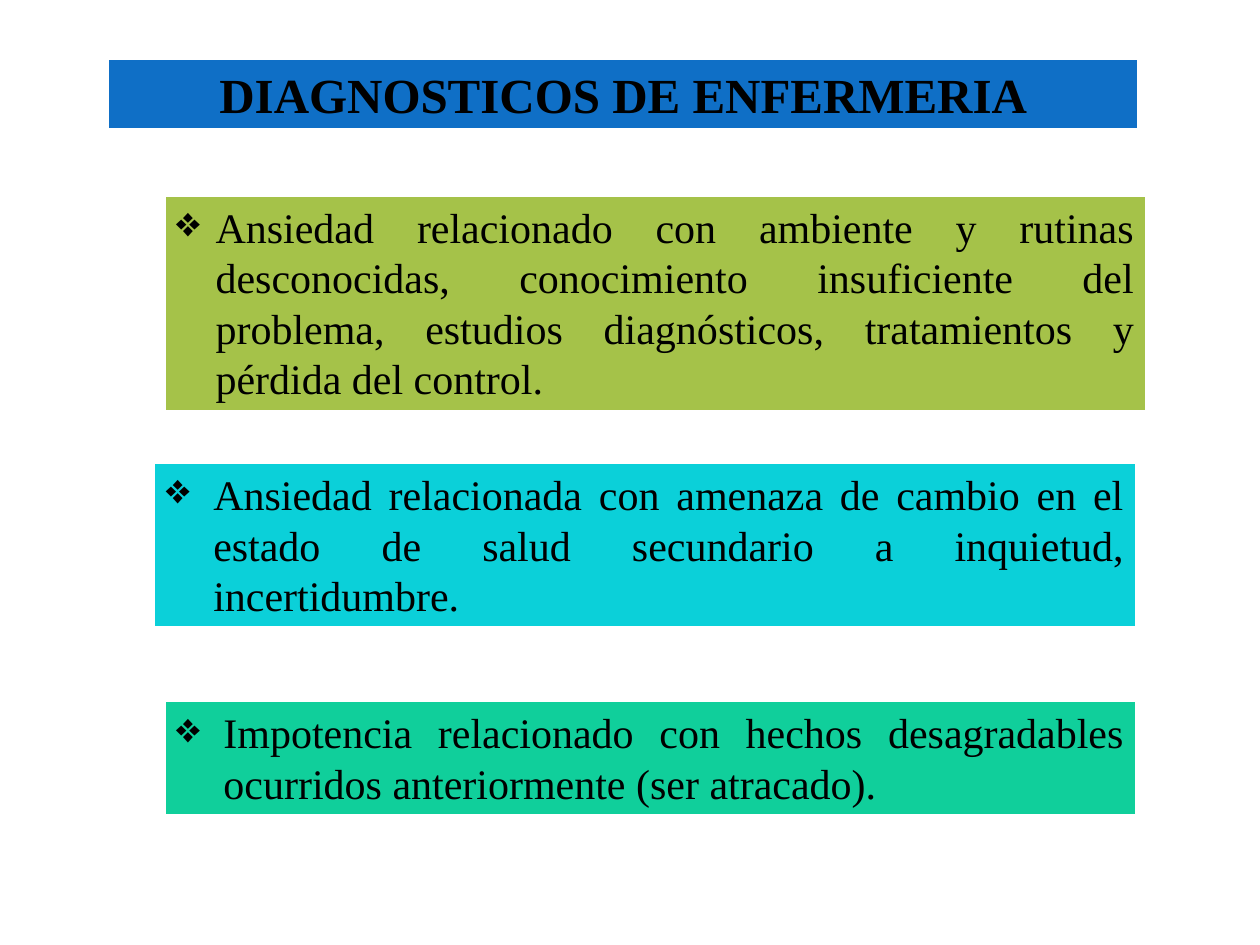
import pptx
import pptx.util
import pptx.dml.color
import pptx.enum.shapes
import pptx.enum.text
import lxml.etree

Pt = pptx.util.Pt
RGB = pptx.dml.color.RGBColor.from_string
ALIGN = pptx.enum.text.PP_ALIGN
NS = "{http://schemas.openxmlformats.org/drawingml/2006/main}"
FONT = "Times New Roman"
COLORS = {
    "blue": "0F6FC6",
    "green": "A5C249",
    "cyan": "0BD0D9",
    "teal": "10CF9B",
    "white": "FFFFFF",
    "black": "000000",
}

deck = pptx.Presentation()
deck.slide_width, deck.slide_height = Pt(720), Pt(540)
slide = deck.slides.add_slide(deck.slide_layouts[6])


def add_box(left, top, width, height, fill, text, size, align, bold=False, indent=0):
    box = slide.shapes.add_shape(
        pptx.enum.shapes.MSO_SHAPE.RECTANGLE, Pt(left), Pt(top), Pt(width), Pt(height))
    box.shadow.inherit = False
    box.fill.solid()
    box.fill.fore_color.rgb = RGB(COLORS[fill])
    box.line.color.rgb = RGB(COLORS["white"])
    box.line.width = Pt(2)
    frame = box.text_frame
    frame.word_wrap = True
    frame.auto_size = pptx.enum.text.MSO_AUTO_SIZE.SHAPE_TO_FIT_TEXT
    frame.vertical_anchor = pptx.enum.text.MSO_ANCHOR.TOP
    para = frame.paragraphs[0]
    para.alignment = align
    # Hanging diamond bullet
    if indent:
        props = para._p.get_or_add_pPr()
        props.set("marL", str(Pt(indent)))
        props.set("indent", str(-Pt(indent)))
        lxml.etree.SubElement(props, NS + "buChar", char="❖")
    run = para.add_run()
    run.text = text
    run.font.name = FONT
    run.font.size = Pt(size)
    run.font.bold = bold
    run.font.color.rgb = RGB(COLORS["black"])


# Title band
add_box(61.2, 33.2, 589.7, 41, "blue", "DIAGNOSTICOS DE ENFERMERIA", 28, ALIGN.CENTER, bold=True)

# Diagnoses: left, top, width, height, fill, indent, text
notes = [
    (93.6, 111.6, 561.6, 123.8, "green", 22.5,
     "Ansiedad relacionado con ambiente y rutinas desconocidas, conocimiento insuficiente "
     "del problema, estudios diagnósticos, tratamientos y pérdida del control."),
    (87.8, 264.3, 561.6, 94.3, "cyan", 27,
     "Ansiedad relacionada con amenaza de cambio en el estado de salud secundario "
     "a inquietud, incertidumbre."),
    (93.6, 400.4, 555.8, 65.5, "teal", 27,
     "Impotencia relacionado con hechos desagradables ocurridos anteriormente "
     "(ser atracado)."),
]
for left, top, width, height, fill, indent, text in notes:
    add_box(left, top, width, height, fill, text, 24, ALIGN.JUSTIFY, indent=indent)

deck.save("out.pptx")
